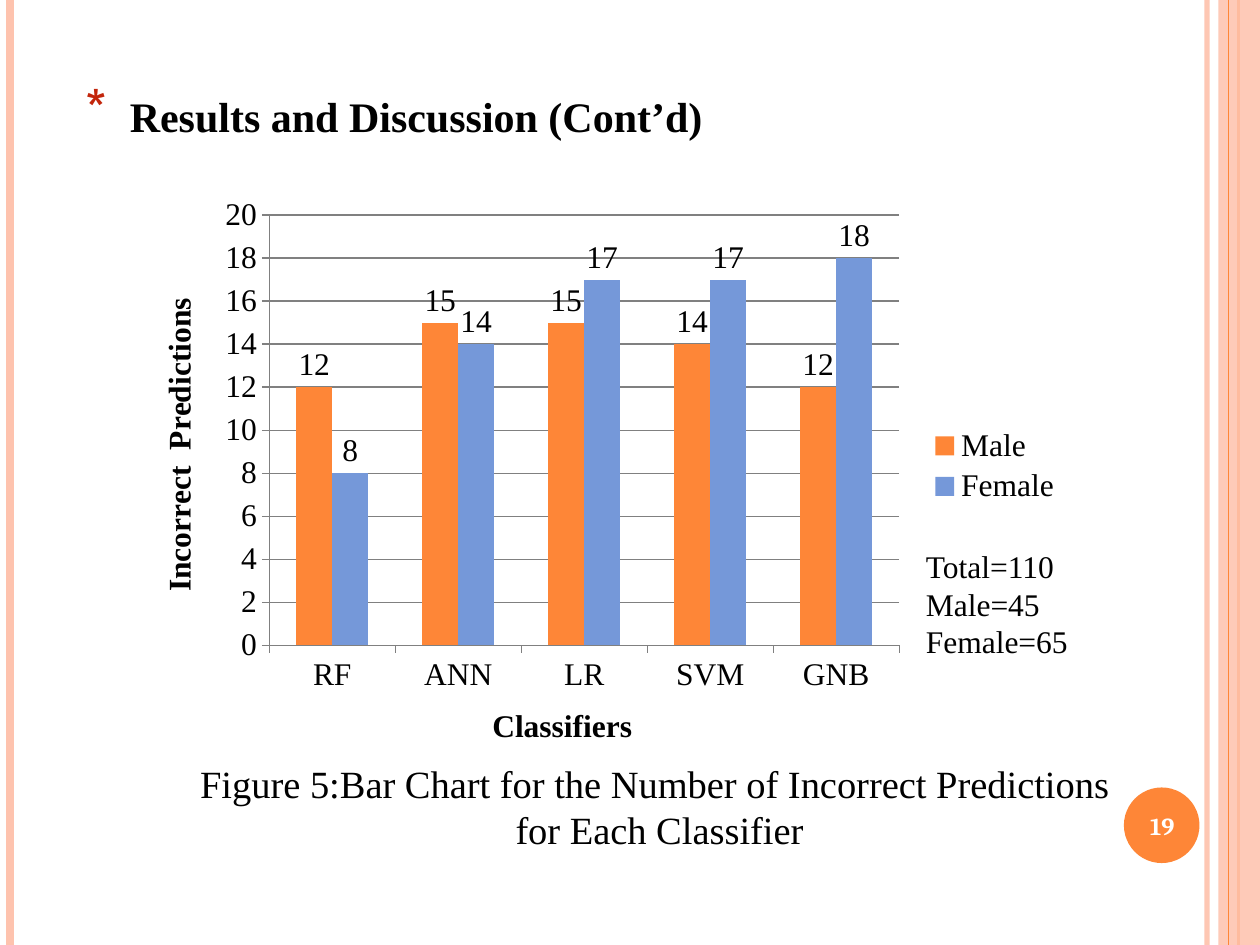
from lxml import etree
from pptx import Presentation
from pptx.chart.data import CategoryChartData
from pptx.dml.color import RGBColor
from pptx.enum.chart import XL_CHART_TYPE, XL_LABEL_POSITION, XL_LEGEND_POSITION, XL_TICK_MARK
from pptx.enum.shapes import MSO_CONNECTOR, MSO_SHAPE
from pptx.enum.text import MSO_ANCHOR, MSO_AUTO_SIZE, PP_ALIGN
from pptx.oxml.ns import qn
from pptx.util import Inches, Pt

COLUMNS = XL_CHART_TYPE.COLUMN_CLUSTERED
OUTSIDE_END = XL_LABEL_POSITION.OUTSIDE_END
LEGEND_RIGHT = XL_LEGEND_POSITION.RIGHT
TICK_OUT = XL_TICK_MARK.OUTSIDE
STRAIGHT = MSO_CONNECTOR.STRAIGHT
RECTANGLE, OVAL = MSO_SHAPE.RECTANGLE, MSO_SHAPE.OVAL
TOP, MIDDLE = MSO_ANCHOR.TOP, MSO_ANCHOR.MIDDLE
LEFT, CENTER = PP_ALIGN.LEFT, PP_ALIGN.CENTER
NO_AUTOFIT = MSO_AUTO_SIZE.NONE

ORANGE = RGBColor(0xFE, 0x86, 0x37)
PEACH = RGBColor(0xFE, 0xC3, 0xAE)
BLUE = RGBColor(0x75, 0x98, 0xD9)
GRAY = RGBColor(0x80, 0x80, 0x80)
BLACK = RGBColor(0, 0, 0)
WHITE = RGBColor(0xFF, 0xFF, 0xFF)
BULLET_RED = "C3260C"

SERIF = "Times New Roman"
SLIDE_W, SLIDE_H = 10, 7.5
CLASSIFIERS = ["RF", "ANN", "LR", "SVM", "GNB"]
INCORRECT = {
    "Male": (ORANGE, [12, 15, 15, 14, 12]),
    "Female": (BLUE, [8, 14, 17, 17, 18]),
}
PLOT_BOX = {"x": 0.142, "y": 0.063, "w": 0.671, "h": 0.749}


def inches(box):
    """Turn a box of numbers into lengths."""
    return [Inches(value) for value in box]


def set_font(font, size, color=BLACK, bold=False, name=SERIF):
    """Apply one set of font values."""
    values = {"size": Pt(size), "bold": bold, "name": name}
    for attribute, value in values.items():
        setattr(font, attribute, value)
    font.color.rgb = color


def set_alpha(element, percent):
    """Make the first solid colour under an element partly transparent."""
    color = element.find(".//" + qn("a:srgbClr"))
    etree.SubElement(color, qn("a:alpha"), val=str(percent * 1000))


def write_text(frame, lines, size, align=LEFT, anchor=TOP, **font):
    """Fill a text frame with one paragraph for each line."""
    values = {"word_wrap": True, "auto_size": NO_AUTOFIT, "vertical_anchor": anchor}
    for attribute, value in values.items():
        setattr(frame, attribute, value)
    for index, line in enumerate(lines):
        paragraph = frame.add_paragraph() if index else frame.paragraphs[0]
        paragraph.alignment = align
        run = paragraph.add_run()
        run.text = line
        set_font(run.font, size, **font)


def add_text(slide, box, lines, size, **style):
    """Add a text box."""
    frame = slide.shapes.add_textbox(*inches(box)).text_frame
    write_text(frame, lines, size, **style)


def add_rule(slide, x, color, width, alpha=100):
    """Add a vertical rule as high as the slide."""
    rule = slide.shapes.add_connector(STRAIGHT, *inches((x, 0, x, SLIDE_H)))
    rule.line.color.rgb = color
    rule.line.width = Pt(width)
    properties = rule.line._get_or_add_ln()
    if alpha < 100:
        set_alpha(properties, alpha)
    etree.SubElement(properties.getparent(), qn("a:effectLst"))


def add_solid(slide, kind, box, color):
    """Add a filled shape without outline."""
    solid = slide.shapes.add_shape(kind, *inches(box))
    solid.shadow.inherit = False
    solid.fill.solid()
    solid.fill.fore_color.rgb = color
    solid.line.fill.background()
    return solid


def add_borders(slide):
    """Draw the rules and the band along both slide edges."""
    add_rule(slide, 9.58, PEACH, 3, alpha=93)
    add_rule(slide, 0.08, PEACH, 4.5)
    add_rule(slide, 9.83, ORANGE, 1.5)
    band = add_solid(slide, RECTANGLE, (9.67, 0, SLIDE_W - 9.67, SLIDE_H), PEACH)
    set_alpha(band.fill._xPr, 87)
    add_rule(slide, 9.75, ORANGE, 0.75)


def add_page_number(slide, box, number):
    """Draw the page number on its round badge."""
    left, top, width, height = box
    add_solid(slide, OVAL, box, ORANGE)
    add_text(slide, (left - 0.03, top + 0.02, width + 0.07, height - 0.03), [number], 14,
             align=CENTER, anchor=MIDDLE, color=WHITE, bold=True, name="Cambria")


def add_heading(slide, box, text):
    """Place the bulleted heading in the title placeholder."""
    title = slide.shapes.title
    for attribute, value in zip(("left", "top", "width", "height"), inches(box)):
        setattr(title, attribute, value)
    write_text(title.text_frame, [text], 24, bold=True)
    properties = title.text_frame.paragraphs[0]._p.get_or_add_pPr()
    properties.set("marL", str(Inches(0.35)))
    properties.set("indent", str(-Inches(0.35)))
    bullet_color = etree.SubElement(properties, qn("a:buClr"))
    etree.SubElement(bullet_color, qn("a:srgbClr"), val=BULLET_RED)
    etree.SubElement(properties, qn("a:buSzPct"), val="128000")
    etree.SubElement(properties, qn("a:buChar"), char="*")


def set_plot_box(chart):
    """Fix the inner plot area as shares of the chart."""
    plot_area = chart.element.find(".//" + qn("c:plotArea"))
    for old_layout in plot_area.findall(qn("c:layout")):
        plot_area.remove(old_layout)
    layout = etree.Element(qn("c:layout"))
    plot_area.insert(0, layout)
    manual = etree.SubElement(layout, qn("c:manualLayout"))
    settings = {"layoutTarget": "inner", "xMode": "edge", "yMode": "edge", **PLOT_BOX}
    for tag, value in settings.items():
        etree.SubElement(manual, qn("c:" + tag), val=str(value))


def format_axis(axis, title):
    """Give an axis its title, ticks and line."""
    axis.major_tick_mark = TICK_OUT
    axis.format.line.color.rgb = GRAY
    axis.format.line.width = Pt(0.75)
    paragraph = axis.axis_title.text_frame.paragraphs[0]
    run = paragraph.add_run()
    run.text = title
    set_font(run.font, 18, bold=True)


def add_predictions_chart(slide, box):
    """Add the column chart of incorrect predictions."""
    data = CategoryChartData()
    data.categories = CLASSIFIERS
    for name, (_, counts) in INCORRECT.items():
        data.add_series(name, counts)
    chart = slide.shapes.add_chart(COLUMNS, *inches(box), data).chart
    set_font(chart.font, 18)
    chart.has_title = False
    chart.has_legend = True
    chart.legend.position = LEGEND_RIGHT
    chart.legend.include_in_layout = False
    set_plot_box(chart)
    format_axis(chart.category_axis, "Classifiers")
    counts_axis = chart.value_axis
    format_axis(counts_axis, "Incorrect  Predictions")
    limits = {"minimum_scale": 0, "maximum_scale": 20, "major_unit": 2}
    for attribute, value in limits.items():
        setattr(counts_axis, attribute, value)
    counts_axis.major_gridlines.format.line.color.rgb = GRAY
    counts_axis.major_gridlines.format.line.width = Pt(0.75)
    columns = chart.plots[0]
    columns.gap_width, columns.overlap, columns.vary_by_categories = 150, 0, False
    for series, (color, _) in zip(columns.series, INCORRECT.values()):
        series.format.fill.solid()
        series.format.fill.fore_color.rgb = color
        series.data_labels.show_value = True
        series.data_labels.position = OUTSIDE_END


def main():
    """Build and save the slide."""
    deck = Presentation()
    deck.slide_width, deck.slide_height = inches((SLIDE_W, SLIDE_H))
    slide = deck.slides.add_slide(deck.slide_layouts[5])
    add_borders(slide)
    add_page_number(slide, (8.92, 6.25, 0.6, 0.6), "19")
    add_heading(slide, (0.58, 0.67, 5.15, 0.5), "Results and Discussion (Cont’d)")
    add_text(slide, (1.45, 5.98, 7.57, 0.84),
             ["Figure 5:Bar Chart for the Number of Incorrect Predictions ", "for Each Classifier"],
             22, align=CENTER)
    add_predictions_chart(slide, (1.08, 1.42, 7.45, 4.56))
    add_text(slide, (7.25, 4.29, 1.58, 1.31), ["Total=110", "Male=45", "Female=65"], 18)
    deck.save("out.pptx")


if __name__ == "__main__":
    main()
